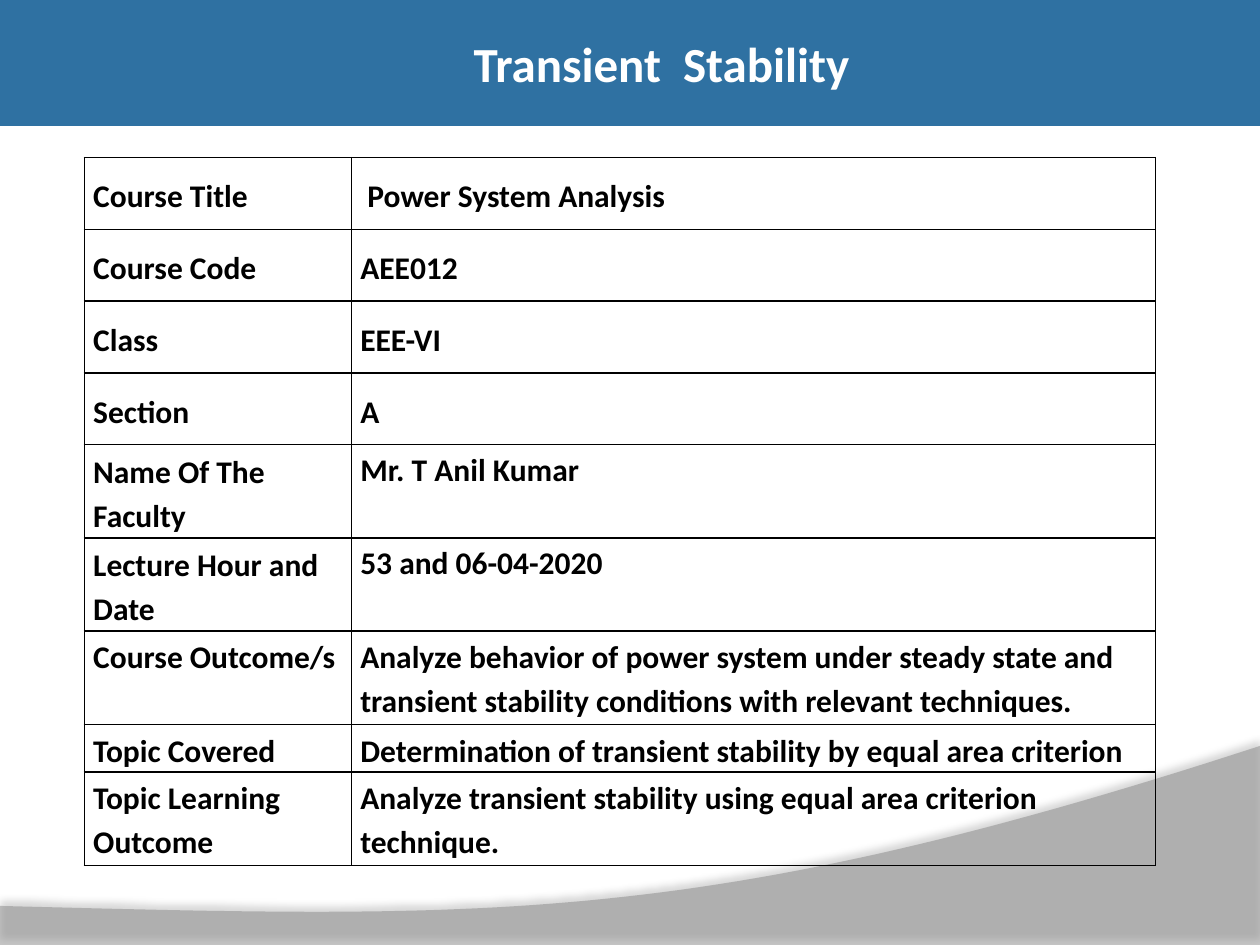
from dataclasses import dataclass

from pptx import Presentation
from pptx.dml.color import RGBColor
from pptx.enum.text import MSO_ANCHOR as Anchor, MSO_AUTO_SIZE as AutoSize, PP_ALIGN as Align
from pptx.oxml import parse_xml
from pptx.oxml.ns import nsdecls, qn
from pptx.util import Emu, Inches, Pt

WIDTH, HEIGHT = Inches(10), Inches(7.5)
FONT = "Calibri"
BLUE = RGBColor(0x2F, 0x71, 0xA2)
GRAY = RGBColor(0x7F, 0x7F, 0x7F)
WHITE = RGBColor(0xFF, 0xFF, 0xFF)
BLACK = RGBColor(0x00, 0x00, 0x00)

# Table grid in inches: single, double and compact row heights
LABEL_WIDTH, VALUE_WIDTH = 2.12, 6.38
SINGLE, DOUBLE, COMPACT = 0.57, 0.74, 0.38


@dataclass
class CourseRow:
    label: str
    value: str
    height: float
    label_anchor: Anchor = Anchor.MIDDLE
    value_anchor: Anchor = Anchor.MIDDLE
    label_gap: int = 10
    value_gap: int = 10


ROWS = [
    CourseRow("Course Title", " Power System Analysis", SINGLE),
    CourseRow("Course Code", "AEE012", SINGLE),
    CourseRow("Class", "EEE-VI", SINGLE),
    CourseRow("Section", "A", SINGLE),
    CourseRow("Name Of The Faculty", "Mr. T Anil Kumar", DOUBLE, value_anchor=Anchor.TOP),
    CourseRow("Lecture Hour and Date", "53 and 06-04-2020", DOUBLE, value_anchor=Anchor.TOP),
    CourseRow("Course Outcome/s",
              "Analyze behavior of power system under steady state and transient "
              "stability conditions with relevant techniques.",
              DOUBLE, Anchor.TOP, Anchor.TOP, value_gap=0),
    CourseRow("Topic Covered", "Determination of transient stability by equal area criterion",
              COMPACT, label_gap=0, value_gap=0),
    CourseRow("Topic Learning Outcome",
              "Analyze transient stability using equal area criterion technique.",
              DOUBLE, Anchor.TOP, Anchor.TOP, 0, 0),
]


def style_text(para, size: int, color: RGBColor) -> None:
    for span in para.runs:
        font = span.font
        font.name, font.size, font.bold = FONT, Pt(size), True
        font.color.rgb = color


def add_title(page, text: str) -> None:
    band = page.shapes.title
    band.left, band.top, band.width, band.height = 0, 0, WIDTH, Inches(1)
    band.fill.solid()
    band.fill.fore_color.rgb = BLUE
    frame = band.text_frame
    frame.text = text
    frame.auto_size = AutoSize.NONE
    frame.vertical_anchor = Anchor.MIDDLE
    para = frame.paragraphs[0]
    para.alignment = Align.CENTER
    properties = para._p.get_or_add_pPr()
    properties.set("marL", str(Inches(0.5)))
    properties.set("indent", "0")
    style_text(para, 28, WHITE)


def bezier(points: list, steps: int = 60) -> list:
    """Points along a cubic curve, its start left out."""
    curve = []
    for step in range(1, steps + 1):
        t = step / steps
        weights = ((1 - t) ** 3, 3 * t * (1 - t) ** 2, 3 * t * t * (1 - t), t ** 3)
        curve.append(tuple(sum(w * p[axis] for w, p in zip(weights, points))
                           for axis in (0, 1)))
    return curve


def add_wave(page) -> None:
    # The builder rounds to whole units, so the outline is given in EMU
    crest = [(Inches(x), Inches(y))
             for x, y in ((10, 5.92), (5.59, 7.36), (3.91, 7.29), (0, 7.19))]
    outline = [(0, HEIGHT), (WIDTH, HEIGHT), crest[0]] + bezier(crest)
    builder = page.shapes.build_freeform(*crest[-1], scale=1.0)
    builder.add_line_segments(outline, close=True)
    wave = builder.convert_to_shape()
    wave.line.fill.background()
    wave.fill.solid()
    wave.fill.fore_color.rgb = GRAY
    properties = wave._element.spPr
    properties.find(".//" + qn("a:srgbClr")).append(
        parse_xml(f'<a:alpha {nsdecls("a")} val="45000"/>'))
    # Soft shadow cast upwards
    wave.shadow.inherit = False
    properties.find(qn("a:effectLst")).append(parse_xml(
        f'<a:outerShdw {nsdecls("a")} blurRad="{Pt(4)}" dist="{Pt(3.5)}" dir="16200000" '
        f'algn="b" rotWithShape="0"><a:srgbClr val="{BLACK}"><a:alpha val="35000"/>'
        '</a:srgbClr></a:outerShdw>'))


def fill_cell(cell, text: str, anchor: Anchor, gap: int) -> None:
    cell.text_frame.text = text
    cell.vertical_anchor = anchor
    cell.margin_left = cell.margin_right = Inches(0.07)
    cell.margin_top, cell.margin_bottom = Inches(0.01), Emu(0)
    para = cell.text_frame.paragraphs[0]
    para.line_spacing, para.space_after = 1.15, Pt(gap)
    style_text(para, 18, BLACK)
    for side in ("lnL", "lnR", "lnT", "lnB"):
        cell._tc.get_or_add_tcPr().append(parse_xml(
            f'<a:{side} {nsdecls("a")} w="{Pt(1)}"><a:solidFill>'
            f'<a:srgbClr val="{BLACK}"/></a:solidFill></a:{side}>'))
    cell.fill.background()


def add_course_table(page, rows: list[CourseRow]) -> None:
    height = sum(row.height for row in rows)
    table = page.shapes.add_table(
        len(rows), 2, Inches(0.67), Inches(1.25),
        Inches(LABEL_WIDTH + VALUE_WIDTH), Inches(height)).table
    table.first_row = table.horz_banding = False
    for column, width in zip(table.columns, (LABEL_WIDTH, VALUE_WIDTH)):
        column.width = Inches(width)
    for index, row in enumerate(rows):
        table.rows[index].height = Inches(row.height)
        fill_cell(table.cell(index, 0), row.label, row.label_anchor, row.label_gap)
        fill_cell(table.cell(index, 1), row.value, row.value_anchor, row.value_gap)


def main() -> None:
    deck = Presentation()
    deck.slide_width, deck.slide_height = WIDTH, HEIGHT
    page = deck.slides.add_slide(deck.slide_layouts[5])
    add_title(page, "Transient  Stability")
    add_wave(page)
    add_course_table(page, ROWS)
    deck.save("out.pptx")


if __name__ == "__main__":
    main()
